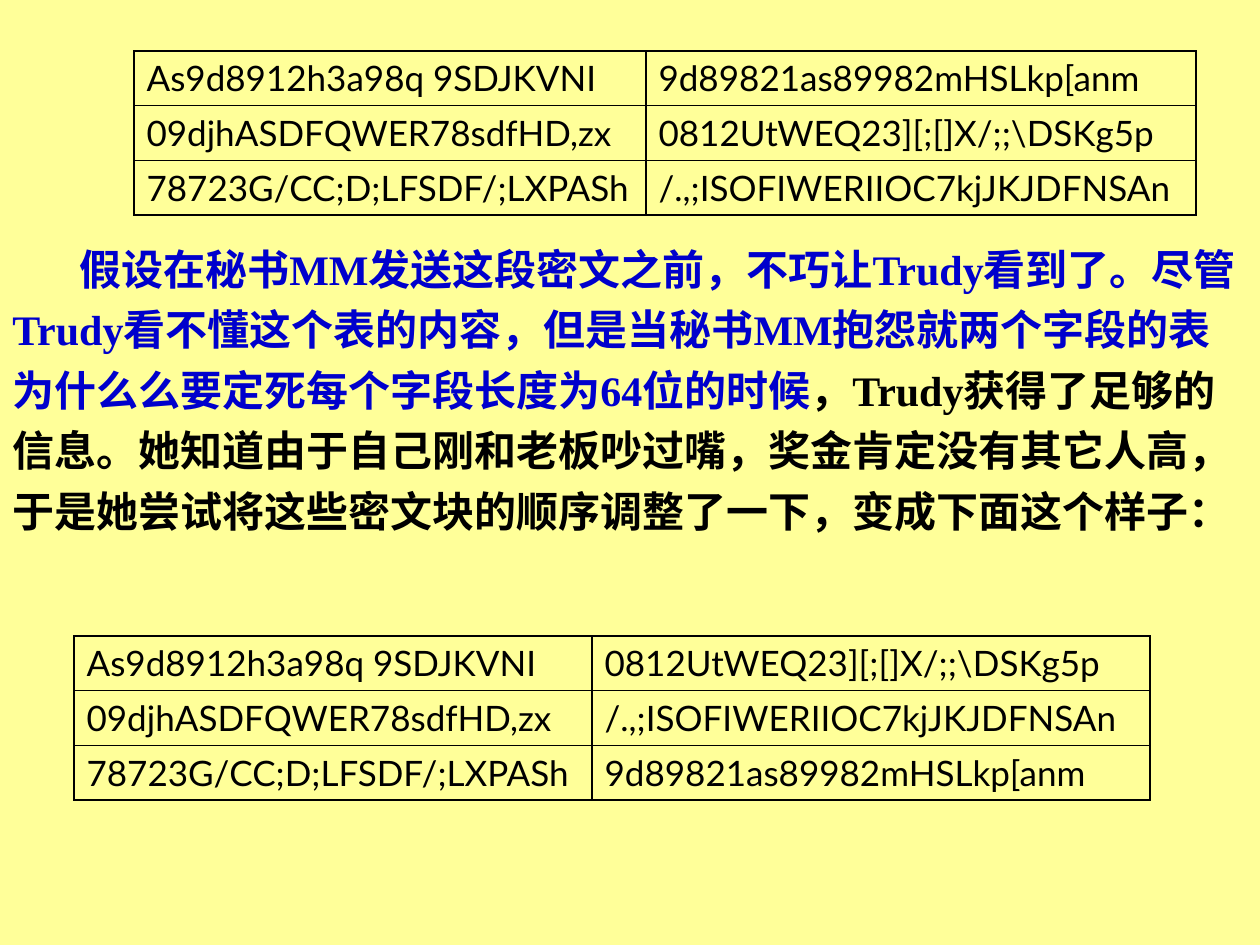
"""Build a slide that shows two cipher tables around an explanation."""
from lxml import etree
from pptx import Presentation, util as u
from pptx.dml.color import RGBColor
from pptx.enum import text
from pptx.oxml.ns import qn

COLORS = {"background": "FFFF99", "black": "000000", "blue": "0000CC"}
LEFT_BLOCKS = ["As9d8912h3a98q 9SDJKVNI", "09djhASDFQWER78sdfHD,zx", "78723G/CC;D;LFSDF/;LXPASh"]
RIGHT_BLOCKS = ["9d89821as89982mHSLkp[anm", "0812UtWEQ23][;[]X/;;\\DSKg5p", "/.,;ISOFIWERIIOC7kjJKJDFNSAn"]
STORY = [
    ("假设在秘书MM发送这段密文之前，不巧让Trudy看到了。尽管Trudy看不懂这个表的内容，"
     "但是当秘书MM抱怨就两个字段的表为什么么要定死每个字段长度为64位的时候", "blue"),
    ("，Trudy获得了足够的信息。她知道由于自己刚和老板吵过嘴，奖金肯定没有其它人高，"
     "于是她尝试将这些密文块的顺序调整了一下，变成下面这个样子：", "black"),
]


def px(length):
    return u.Emu(round(length * 914400 / 126))


def add_text(paragraph, content, font="Lato", size=20, color="black", bold=False):
    run = paragraph.add_run()
    run.text = content
    run.font.name = font
    run.font.size = u.Pt(size)
    run.font.bold = bold
    run.font.color.rgb = RGBColor.from_string(COLORS[color])


class SlideBuilder:
    def __init__(self, presentation):
        self.slide = presentation.slides.add_slide(presentation.slide_layouts[6])
        fill = self.slide.background.fill
        fill.solid()
        fill.fore_color.rgb = RGBColor.from_string(COLORS["background"])

    def story(self, left, top, width, height, parts, indent):
        frame = self.slide.shapes.add_textbox(px(left), px(top), px(width), px(height)).text_frame
        frame.word_wrap = True
        frame.auto_size = text.MSO_AUTO_SIZE.SHAPE_TO_FIT_TEXT
        paragraph = frame.paragraphs[0]
        paragraph.line_spacing = 1.2
        paragraph._p.get_or_add_pPr().set("indent", str(px(indent)))
        for content, color in parts:
            add_text(paragraph, content, font="Times New Roman", size=24, color=color, bold=True)

    def table(self, left, top, widths, height, columns):
        row_count = len(columns[0])
        table = self.slide.shapes.add_table(
            row_count, len(columns), px(left), px(top), px(sum(widths)), px(height)).table
        table.first_row = table.horz_banding = False
        for row in table.rows:
            row.height = px(height / row_count)
        for column, (width, blocks) in enumerate(zip(widths, columns)):
            table.columns[column].width = px(width)
            for row, block in enumerate(blocks):
                cell = table.cell(row, column)
                add_text(cell.text_frame.paragraphs[0], block)
                self.border(cell)
                cell.fill.background()

    def border(self, cell):
        properties = cell._tc.get_or_add_tcPr()
        for side in ("a:lnL", "a:lnR", "a:lnT", "a:lnB"):
            line = etree.SubElement(properties, qn(side), w=str(u.Pt(0.75)))
            fill = etree.SubElement(line, qn("a:solidFill"))
            etree.SubElement(fill, qn("a:srgbClr"), val=COLORS["black"])


def main():
    presentation = Presentation()
    presentation.slide_width, presentation.slide_height = px(1260), px(945)
    builder = SlideBuilder(presentation)
    builder.story(0, 227, 1260, 312, STORY, indent=67)
    builder.table(134, 51, [512, 550], 164, [LEFT_BLOCKS, RIGHT_BLOCKS])
    reordered_blocks = RIGHT_BLOCKS[1:] + RIGHT_BLOCKS[:1]
    builder.table(74, 636, [518, 558], 164, [LEFT_BLOCKS, reordered_blocks])
    presentation.save("out.pptx")


if __name__ == "__main__":
    main()
